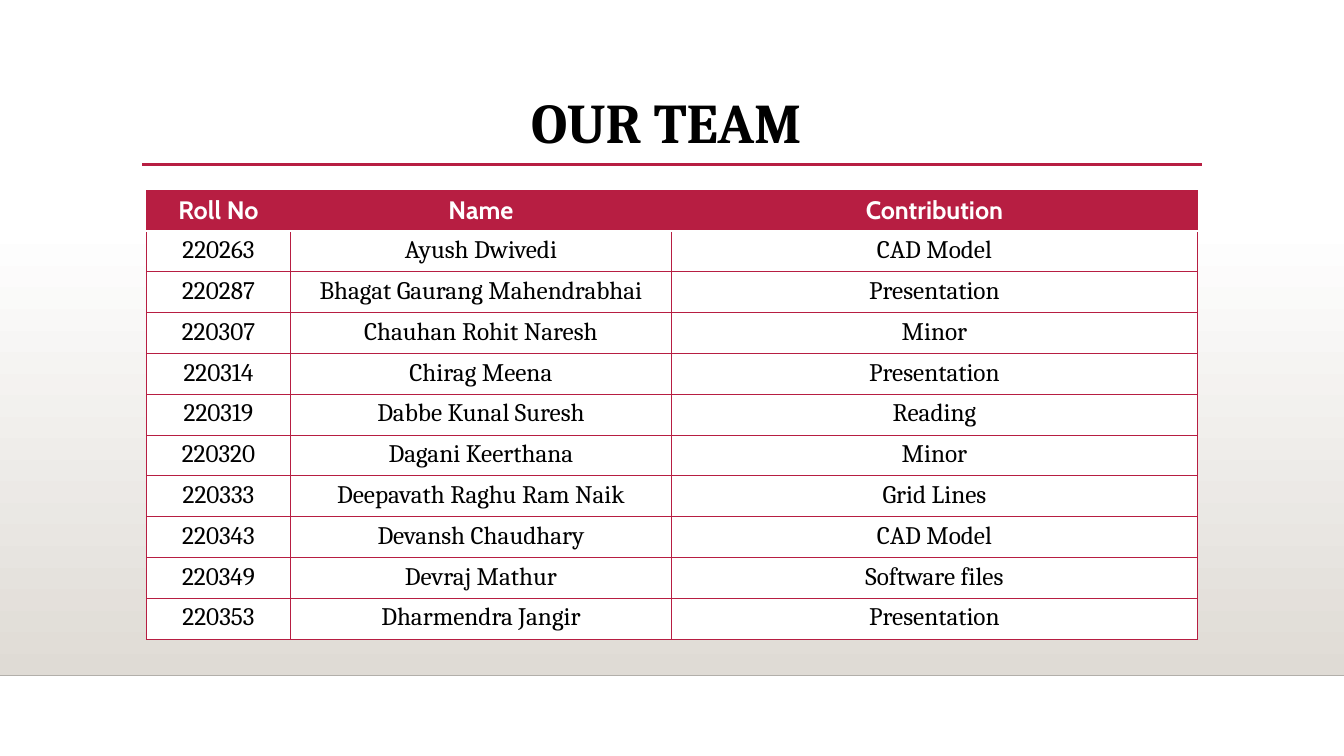
from dataclasses import dataclass

from lxml import etree
from pptx import Presentation, util as u
from pptx.dml.color import RGBColor
from pptx.enum import shapes, text
from pptx.oxml import ns

HUES = {"red": "B71E42", "white": "FFFFFF", "black": "000000",
        "sand": "DFDBD5", "grey": "B2AFAA"}

deck = Presentation()
deck.slide_width, deck.slide_height = u.Inches(13.33), u.Inches(7.5)
slide = deck.slides.add_slide(deck.slide_layouts[6])


@dataclass
class Rule:
    left: float
    right: float
    top: float
    hue: str
    width: float


# Lengths are percent of the slide's width (x) and height (y)
FLOOR = 89.33
RULES = [Rule(0, 100, FLOOR, "grey", 1), Rule(10.58, 89.42, 21.73, "red", 2.5)]
COLS = [10.71, 28.35, 39.14]
HEAD, ROW = 5.36, 5.4
TEAM = [
    ("Roll No", "Name", "Contribution"),
    ("220263", "Ayush Dwivedi", "CAD Model"),
    ("220287", "Bhagat Gaurang Mahendrabhai", "Presentation"),
    ("220307", "Chauhan Rohit Naresh", "Minor"),
    ("220314", "Chirag Meena", "Presentation"),
    ("220319", "Dabbe Kunal Suresh", "Reading"),
    ("220320", "Dagani Keerthana", "Minor"),
    ("220333", "Deepavath Raghu Ram Naik", "Grid Lines"),
    ("220343", "Devansh Chaudhary", "CAD Model"),
    ("220349", "Devraj Mathur", "Software files"),
    ("220353", "Dharmendra Jangir", "Presentation"),
]
TITLE = {"name": "Cambria", "size": u.Pt(40), "bold": True}
TOP = {"name": "Cabin", "size": u.Pt(18), "bold": True}
BODY = {"name": "Cambria", "size": u.Pt(18), "bold": False}


def x(share: float) -> int:
    return round(deck.slide_width * share / 100)


def y(share: float) -> int:
    return round(deck.slide_height * share / 100)


def rgb(hue: str) -> RGBColor:
    return RGBColor.from_string(HUES[hue])


def style(par, form: dict, hue: str) -> None:
    for key, value in form.items():
        setattr(par.font, key, value)
    par.font.color.rgb = rgb(hue)


def draw(rule: Rule) -> None:
    line = slide.shapes.add_connector(
        shapes.MSO_CONNECTOR.STRAIGHT,
        x(rule.left), y(rule.top), x(rule.right), y(rule.top))
    line.line.color.rgb = rgb(rule.hue)
    line.line.width = u.Pt(rule.width)
    etree.SubElement(line._element.spPr, ns.qn("a:effectLst"))


def edge(cell, side: str, hue: str, width: float) -> None:
    props = cell._tc.get_or_add_tcPr()
    line = etree.SubElement(props, ns.qn(f"a:ln{side}"), w=str(u.Pt(width)))
    fill = etree.SubElement(line, ns.qn("a:solidFill"))
    etree.SubElement(fill, ns.qn("a:srgbClr"), val=HUES[hue])


def write(cell, words: str, row: int) -> None:
    head = row == 0
    par = cell.text_frame.paragraphs[0]
    par.text = words
    par.alignment = text.PP_ALIGN.CENTER
    style(par, TOP if head else BODY, "white" if head else "black")
    # Borders come before the fill; a white seam parts head and body
    for side in "LRTB":
        seam = (row, side) in ((0, "B"), (1, "T"))
        edge(cell, side, *(("white", 1.25) if seam else ("red", 0.75)))
    cell.fill.solid()
    cell.fill.fore_color.rgb = rgb("red" if head else "white")


# Floor shade, fading upward
band = slide.shapes.add_shape(shapes.MSO_SHAPE.RECTANGLE, 0, y(29.47),
                              x(100), y(FLOOR - 29.47))
band.shadow.inherit = False
band.line.fill.background()
band.fill.gradient()
band.fill.gradient_angle = 270
for stop, hue in zip(band.fill.gradient_stops, ("white", "sand")):
    stop.color.rgb = rgb(hue)

# Rules
for rule in RULES:
    draw(rule)

# Title
box = slide.shapes.add_textbox(x(38.78), y(10.93), x(22.5), y(10.27))
frame = box.text_frame
frame.word_wrap = True
frame.auto_size = text.MSO_AUTO_SIZE.SHAPE_TO_FIT_TEXT
frame.text = "OUR TEAM"
style(frame.paragraphs[0], TITLE, "black")

# Team table
tall = HEAD + ROW * (len(TEAM) - 1)
table = slide.shapes.add_table(len(TEAM), len(COLS), x(10.9), y(25.2),
                               x(sum(COLS)), y(tall)).table
for col, share in zip(table.columns, COLS):
    col.width = x(share)
for r, entry in enumerate(TEAM):
    table.rows[r].height = y(ROW if r else HEAD)
    for c, words in enumerate(entry):
        write(table.cell(r, c), words, r)

deck.save("out.pptx")
